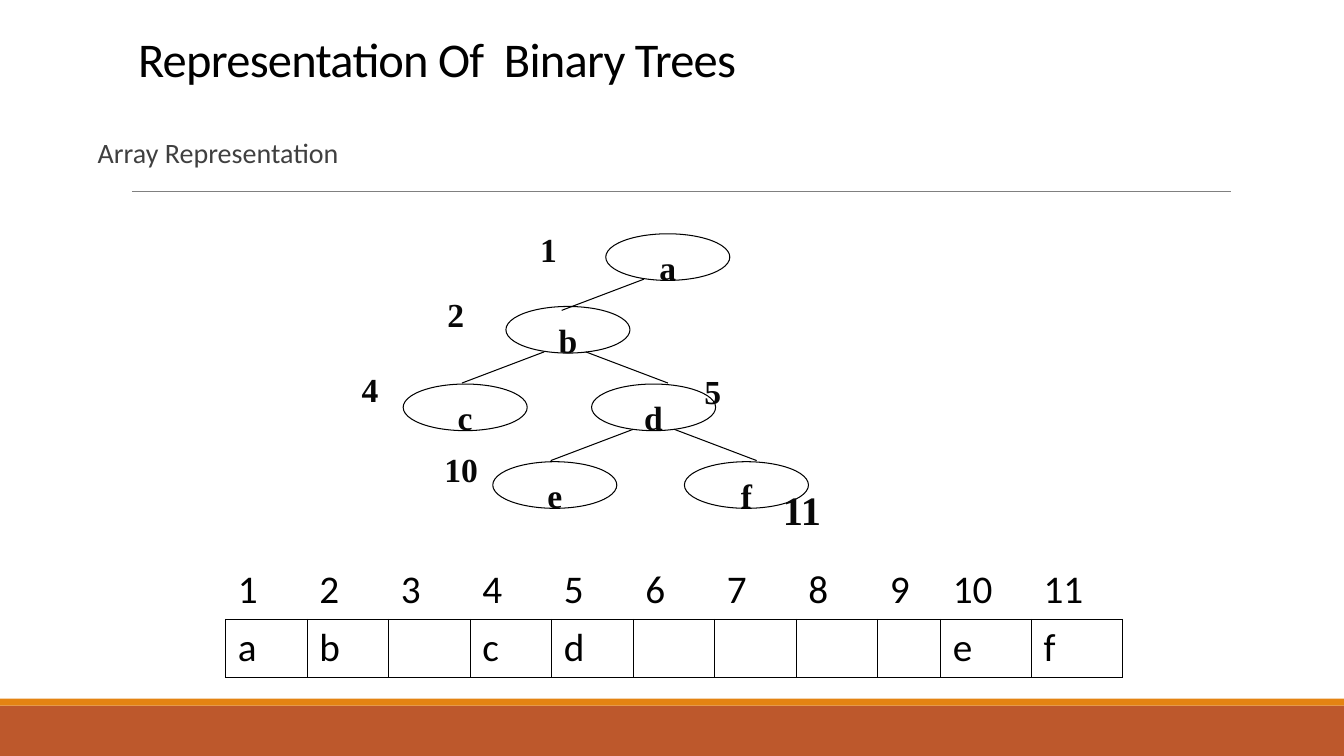
import pptx
import pptx.util
import pptx.dml.color
import pptx.enum.shapes
import pptx.enum.text
import pptx.oxml.ns
import lxml.etree

Pt = pptx.util.Pt
RGB = pptx.dml.color.RGBColor.from_string
MSO = pptx.enum.shapes.MSO_SHAPE
ALIGN = pptx.enum.text.PP_ALIGN
ANCHOR = pptx.enum.text.MSO_ANCHOR
qn = pptx.oxml.ns.qn
COLORS = {"rust": "BD582C", "orange": "E48312", "rule": "808080", "line": "000000",
          "title": "000000", "body": "404040", "node": "080808"}


def put_text(tf, text, size, font, color, align=ALIGN.LEFT, anchor=ANCHOR.TOP,
             bold=False, margins=(7.2, 3.6)):
    x, y = margins
    frame = {"word_wrap": True, "vertical_anchor": anchor, "margin_left": Pt(x),
             "margin_right": Pt(x), "margin_top": Pt(y), "margin_bottom": Pt(y),
             "auto_size": pptx.enum.text.MSO_AUTO_SIZE.NONE}
    for name, value in frame.items():
        setattr(tf, name, value)
    p = tf.paragraphs[0]
    p.alignment = align
    r = p.add_run()
    r.text = text
    for name, value in {"size": Pt(size), "name": font, "bold": bold}.items():
        setattr(r.font, name, value)
    r.font.color.rgb = RGB(COLORS[color])
    return p


def add_line(x1, y1, x2, y2, color, width):
    sp = s.shapes.add_connector(pptx.enum.shapes.MSO_CONNECTOR.STRAIGHT,
                                Pt(x1), Pt(y1), Pt(x2), Pt(y2))
    sp.line.color.rgb = RGB(COLORS[color])
    sp.line.width = Pt(width)
    lxml.etree.SubElement(sp._element.spPr, qn("a:effectLst"))


prs = pptx.Presentation()
prs.slide_width, prs.slide_height = Pt(960), Pt(540)
s = prs.slides.add_slide(prs.slide_layouts[1])

# Footer bars and rule
for top, height, color in [(504, 36, "rust"), (499, 5, "orange")]:
    sp = s.shapes.add_shape(MSO.RECTANGLE, 0, Pt(top), Pt(960), Pt(height))
    sp.shadow.inherit = False
    sp.fill.solid()
    sp.fill.fore_color.rgb = RGB(COLORS[color])
    sp.line.fill.background()
add_line(94.3, 136.8, 879, 136.8, "rule", 0.5)

# Title and subtitle
title, body = s.shapes.title, s.placeholders[1]
for sp, box in [(title, (91.4, 21.6, 777.6, 44.6)), (body, (69.8, 95.8, 777.6, 41.8))]:
    sp.left, sp.top, sp.width, sp.height = map(Pt, box)
p = put_text(title.text_frame, "Representation Of  Binary Trees", 34.6, "Calibri",
             "title", anchor=ANCHOR.BOTTOM)
p.line_spacing = 0.85
p.runs[0].font._element.set("spc", "-50")
p = put_text(body.text_frame, "Array Representation", 20, "Calibri", "body",
             margins=(0, 3.6))
pPr = p._p.get_or_add_pPr()
pPr.set("marL", "0")
pPr.set("indent", "0")
lxml.etree.SubElement(pPr, qn("a:buNone"))
p.line_spacing = 0.9
p.space_before = Pt(0)

# Tree edges: start point and side of the child
EDGES = [(460, 199.4, -1), (388.8, 251.3, -1), (418.3, 251.3, 1),
         (452.2, 306.7, -1), (481.7, 306.7, 1)]
for x, y, side in EDGES:
    add_line(x, y, x + side * 58.8, y + 22.3, "line", 0.75)

# Tree nodes
NODES = [("a", 432.7, 167), ("b", 361.4, 218.9), ("c", 288, 274.3),
         ("d", 422.6, 274.3), ("e", 352, 329.8), ("f", 488.9, 329.8)]
for letter, x, y in NODES:
    sp = s.shapes.add_shape(MSO.OVAL, Pt(x), Pt(y), Pt(88.6), Pt(33.3))
    sp.shadow.inherit = False
    sp.fill.background()
    sp.line.color.rgb = RGB(COLORS["line"])
    sp.line.width = Pt(0.75)
    put_text(sp.text_frame, letter, 24, "Times New Roman", "node", ALIGN.CENTER,
             bold=True, margins=(7.2, 4.5))

# Array positions beside the nodes
LABELS = [("1", 378.7, 159.1, 24), ("2", 312.5, 205.2, 24), ("4", 251.3, 259.2, 24),
          ("5", 496.1, 260.6, 24), ("10", 310.3, 316.1, 24), ("11", 552.2, 342, 28.8)]
for number, x, y, size in LABELS:
    sp = s.shapes.add_textbox(Pt(x), Pt(y), Pt(65), Pt(42))
    put_text(sp.text_frame, number, size, "Times New Roman", "node", bold=True,
             margins=(7.2, 4.5))

# Array table
CELLS = {1: "a", 2: "b", 4: "c", 5: "d", 10: "e", 11: "f"}
WIDTHS = [58.25] * 8 + [45, 64.8, 64.8]
frame = s.shapes.add_table(2, 11, Pt(161.3), Pt(401), Pt(sum(WIDTHS)), Pt(81.4))
table = frame.table
table.first_row = table.horz_banding = False
for row in table.rows:
    row.height = Pt(40.7)
for i, width in enumerate(WIDTHS):
    table.columns[i].width = Pt(width)
    for j, text in enumerate([str(i + 1), CELLS.get(i + 1, "")]):
        cell = table.cell(j, i)
        cell.margin_left = cell.margin_right = Pt(8.6)
        tcPr = cell._tc.get_or_add_tcPr()
        for side in ("lnL", "lnR", "lnT", "lnB"):
            ln = lxml.etree.SubElement(tcPr, qn("a:" + side), w="12700")
            if j == 1 or side == "lnB":
                fill = lxml.etree.SubElement(ln, qn("a:solidFill"))
                lxml.etree.SubElement(fill, qn("a:srgbClr"), val=COLORS["line"])
            else:
                lxml.etree.SubElement(ln, qn("a:noFill"))
        cell.fill.background()
        if text:
            p = cell.text_frame.paragraphs[0]
            r = p.add_run()
            r.text = text
            for name, value in {"size": Pt(28), "name": "Calibri", "bold": False}.items():
                setattr(r.font, name, value)
            r.font.color.rgb = RGB(COLORS["line"])

prs.save("out.pptx")
